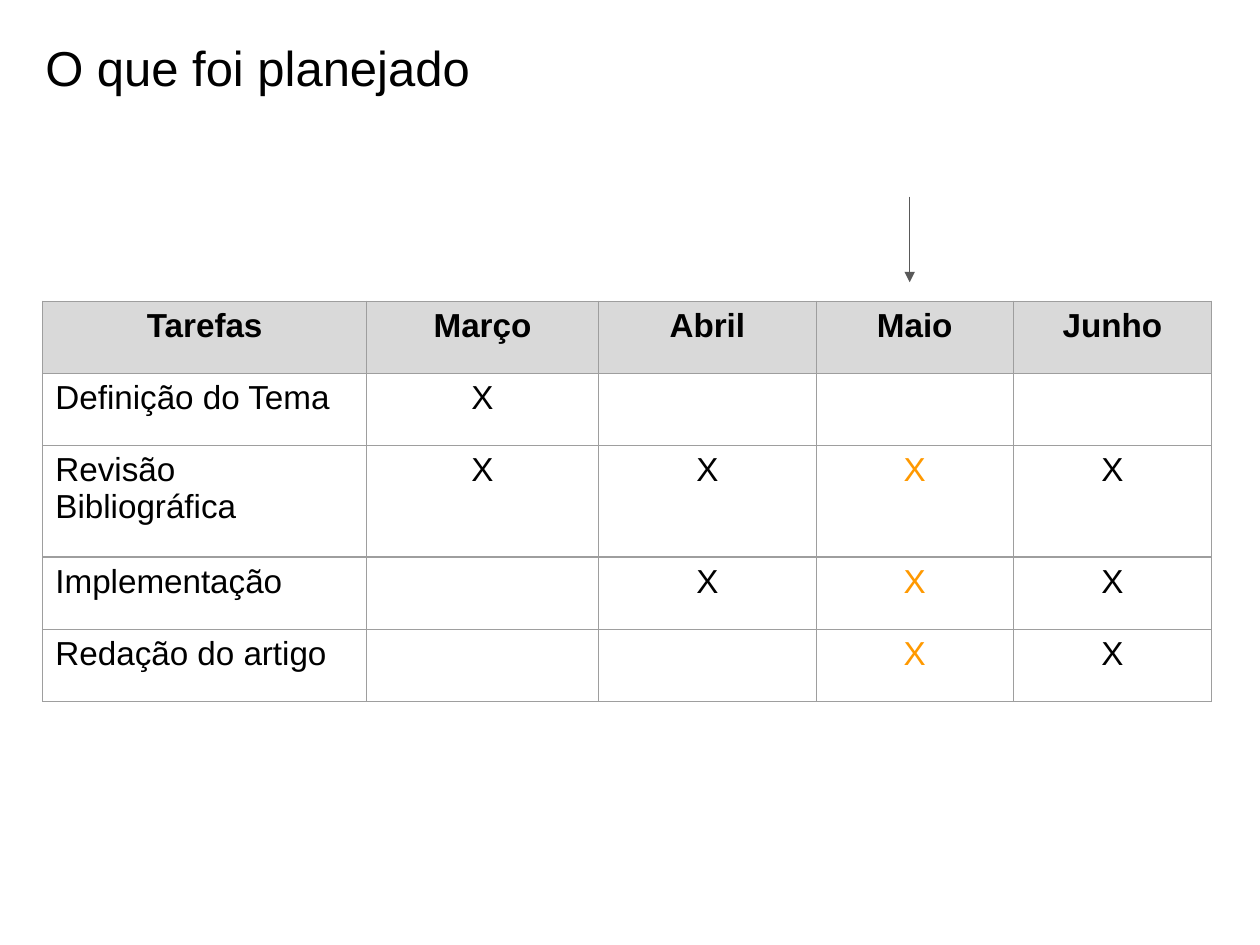
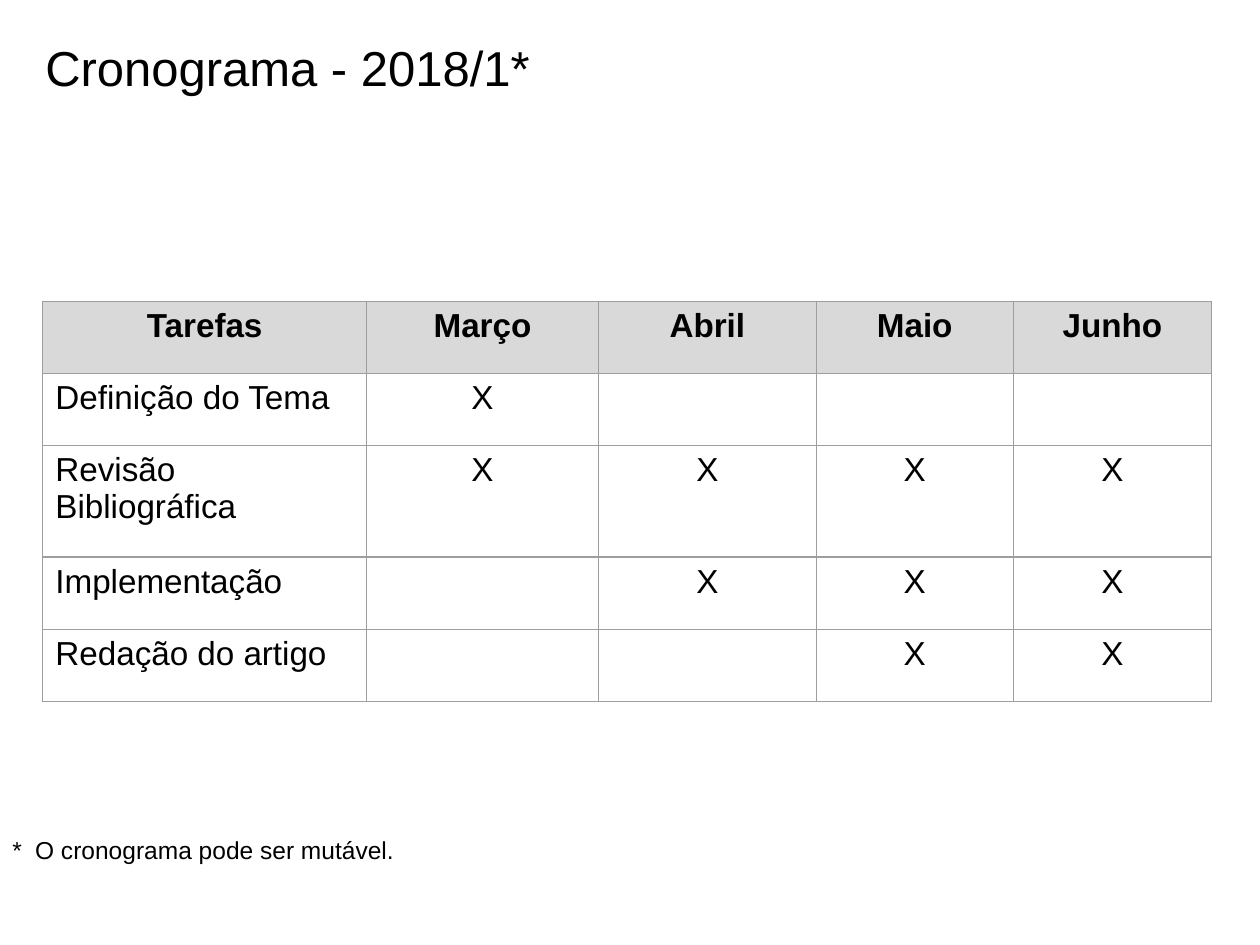
from dataclasses import dataclass

from lxml import etree
from pptx import Presentation
from pptx.dml.color import RGBColor
from pptx.enum.shapes import MSO_CONNECTOR
from pptx.enum.text import MSO_ANCHOR, MSO_AUTO_SIZE, PP_ALIGN
from pptx.oxml.ns import qn
from pptx.slide import Slide
from pptx.table import _Cell
from pptx.text.text import TextFrame
from pptx.util import Pt

LEFT, CENTER = PP_ALIGN.LEFT, PP_ALIGN.CENTER
TOP = MSO_ANCHOR.TOP
NO_AUTOFIT = MSO_AUTO_SIZE.NONE
STRAIGHT = MSO_CONNECTOR.STRAIGHT

FONT = "Arial"
COLORS = {
    "text": "000000",
    "highlight": "FF9900",
    "header": "D9D9D9",
    "background": "FFFFFF",
    "border": "9E9E9E",
    "arrow": "595959",
}
TITLE_ONLY = 5
INSET = 7.2
FOOTNOTE_INDENT = 13

MONTHS = ["Março", "Abril", "Maio", "Junho"]
TASKS = {
    "Definição do Tema": {"Março"},
    "Revisão Bibliográfica": {"Março", "Abril", "Maio", "Junho"},
    "Implementação": {"Abril", "Maio", "Junho"},
    "Redação do artigo": {"Maio", "Junho"},
}
COLUMN_WIDTHS = [185, 132.5, 124.5, 112.5, 113.5]
ROW_HEIGHTS = [41.25, 41.25, 63.75, 41.25, 41.25]


@dataclass(frozen=True)
class Box:
    left: float
    top: float
    width: float
    height: float

    def lengths(self) -> tuple[Pt, Pt, Pt, Pt]:
        return Pt(self.left), Pt(self.top), Pt(self.width), Pt(self.height)


@dataclass(frozen=True)
class ScheduleSlide:
    title: str
    current_month: str = ""
    footnote: str = ""


TITLE_BOX = Box(18.72, 14.4, 687.6, 59.76)
TABLE_BOX = Box(24.48, 172.08, sum(COLUMN_WIDTHS), sum(ROW_HEIGHTS))
FOOTNOTE_BOX = Box(0, 470.16, 720, 69.84)
ARROW_X, ARROW_TOP, ARROW_BOTTOM = 519.84, 112.32, 161.28

SLIDES = [
    ScheduleSlide("O que foi planejado", current_month="Maio"),
    ScheduleSlide("Cronograma - 2018/1*",
                  footnote="*\tO cronograma pode ser mutável."),
]


def rgb(name: str) -> RGBColor:
    return RGBColor.from_string(COLORS[name])


def write(frame: TextFrame, text: str, size: float, align: PP_ALIGN = LEFT,
          color: str = "text", bold: bool = False) -> None:
    paragraph = frame.paragraphs[0]
    paragraph.text = text
    paragraph.alignment = align
    font = paragraph.font
    font.name, font.size, font.bold = FONT, Pt(size), bold
    font.color.rgb = rgb(color)


def prepare_frame(frame: TextFrame) -> None:
    """Give a text frame equal insets, wrapping and text at the top."""
    frame.word_wrap = True
    frame.auto_size = NO_AUTOFIT
    frame.vertical_anchor = TOP
    frame.margin_left = frame.margin_right = Pt(INSET)
    frame.margin_top = frame.margin_bottom = Pt(INSET)


def add_title(slide: Slide, text: str) -> None:
    title = slide.shapes.title
    title.left, title.top, title.width, title.height = TITLE_BOX.lengths()
    prepare_frame(title.text_frame)
    write(title.text_frame, text, 28)


def set_borders(cell: _Cell) -> None:
    properties = cell._tc.get_or_add_tcPr()
    for side in ("lnL", "lnR", "lnT", "lnB"):
        line = etree.SubElement(properties, qn(f"a:{side}"), w=str(Pt(0.75)))
        fill = etree.SubElement(line, qn("a:solidFill"))
        etree.SubElement(fill, qn("a:srgbClr"), val=COLORS["border"])


def format_cell(cell: _Cell, fill: str) -> None:
    set_borders(cell)
    cell.fill.solid()
    cell.fill.fore_color.rgb = rgb(fill)
    cell.vertical_anchor = TOP
    cell.margin_left = cell.margin_right = Pt(INSET)
    cell.margin_top = cell.margin_bottom = Pt(INSET / 2)


def add_schedule(slide: Slide, current_month: str) -> None:
    """Draw the task table, with the marks of the current month highlighted."""
    table = slide.shapes.add_table(
        len(ROW_HEIGHTS), len(COLUMN_WIDTHS), *TABLE_BOX.lengths()).table
    table.first_row = table.horz_banding = False
    for column, width in zip(table.columns, COLUMN_WIDTHS):
        column.width = Pt(width)
    for row, height in zip(table.rows, ROW_HEIGHTS):
        row.height = Pt(height)

    for index, heading in enumerate(["Tarefas", *MONTHS]):
        cell = table.cell(0, index)
        format_cell(cell, "header")
        write(cell.text_frame, heading, 19, CENTER, bold=True)

    for row_index, (task, active_months) in enumerate(TASKS.items(), start=1):
        task_cell = table.cell(row_index, 0)
        format_cell(task_cell, "background")
        write(task_cell.text_frame, task, 19)
        for column_index, month in enumerate(MONTHS, start=1):
            cell = table.cell(row_index, column_index)
            format_cell(cell, "background")
            if month in active_months:
                color = "highlight" if month == current_month else "text"
                write(cell.text_frame, "X", 19, CENTER, color)


def add_month_arrow(slide: Slide) -> None:
    arrow = slide.shapes.add_connector(
        STRAIGHT, Pt(ARROW_X), Pt(ARROW_TOP), Pt(ARROW_X), Pt(ARROW_BOTTOM))
    arrow.line.color.rgb = rgb("arrow")
    arrow.line.width = Pt(0.75)
    etree.SubElement(arrow.line._get_or_add_ln(), qn("a:tailEnd"),
                     type="triangle", w="med", len="med")
    etree.SubElement(arrow._element.spPr, qn("a:effectLst"))


def add_footnote(slide: Slide, text: str) -> None:
    frame = slide.shapes.add_textbox(*FOOTNOTE_BOX.lengths()).text_frame
    prepare_frame(frame)
    write(frame, text, 14)
    properties = frame.paragraphs[0]._p.get_or_add_pPr()
    properties.set("marL", str(Pt(FOOTNOTE_INDENT)))
    properties.set("indent", str(-Pt(FOOTNOTE_INDENT)))


def main() -> None:
    presentation = Presentation()
    presentation.slide_width, presentation.slide_height = Pt(720), Pt(540)
    for content in SLIDES:
        slide = presentation.slides.add_slide(
            presentation.slide_layouts[TITLE_ONLY])
        add_title(slide, content.title)
        add_schedule(slide, content.current_month)
        if content.current_month:
            add_month_arrow(slide)
        if content.footnote:
            add_footnote(slide, content.footnote)
    presentation.save("out.pptx")


if __name__ == "__main__":
    main()
